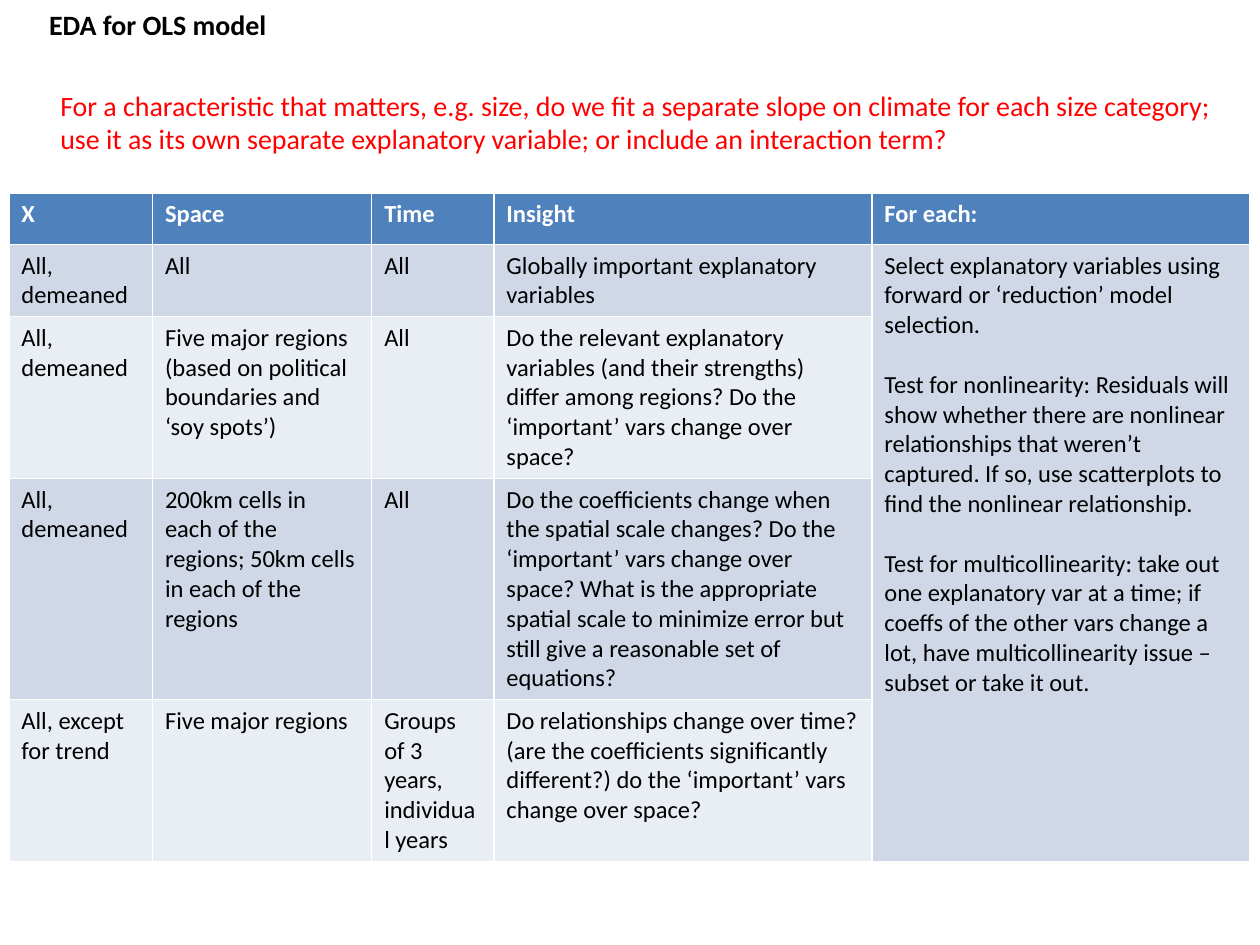
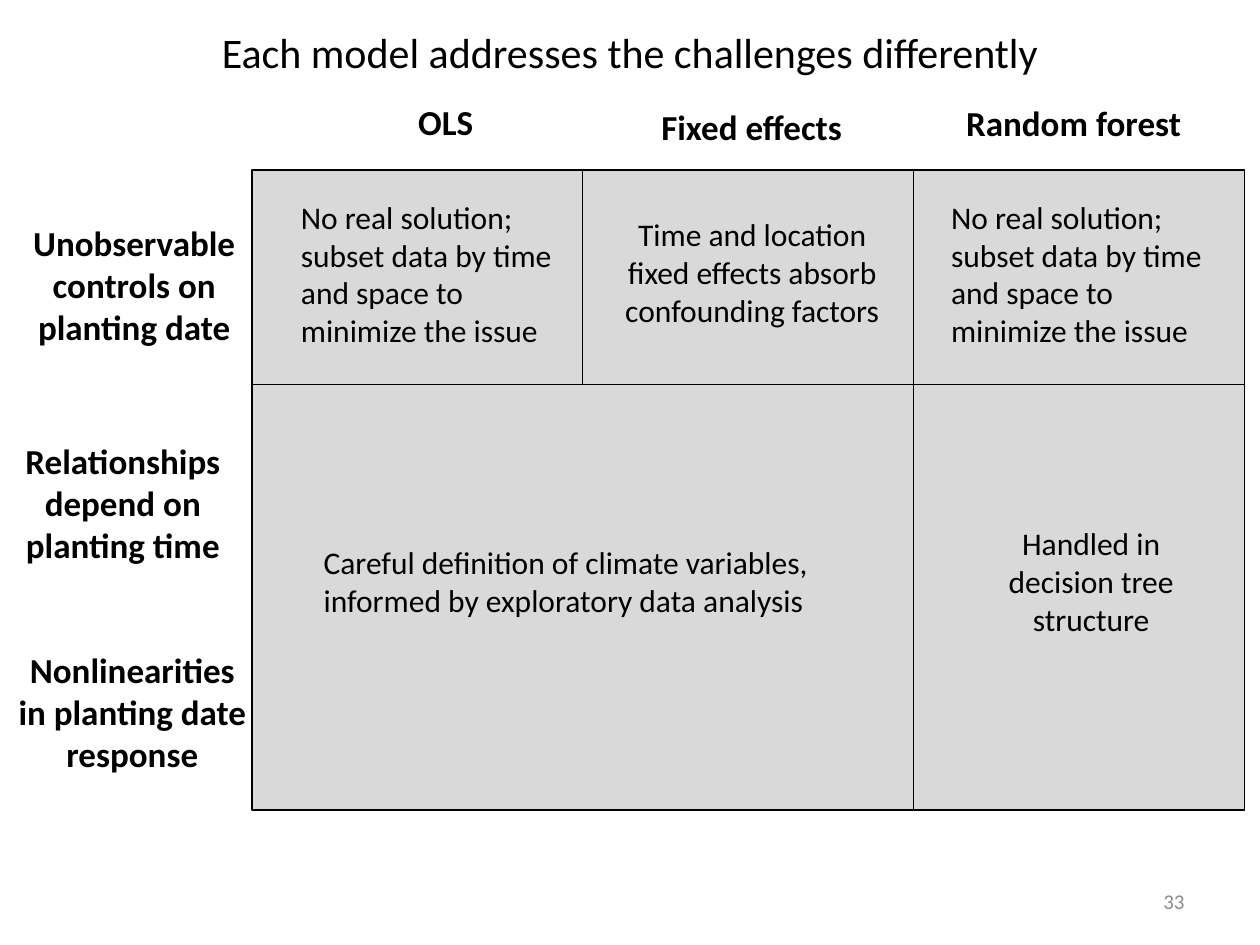
from pptx import Presentation
from pptx.dml.color import RGBColor
from pptx.enum.shapes import MSO_SHAPE
from pptx.enum.text import MSO_ANCHOR, PP_ALIGN
from pptx.util import Inches, Pt

RECTANGLE = MSO_SHAPE.RECTANGLE
LEFT, CENTER, RIGHT = PP_ALIGN.LEFT, PP_ALIGN.CENTER, PP_ALIGN.RIGHT
TOP, MIDDLE = MSO_ANCHOR.TOP, MSO_ANCHOR.MIDDLE

FONT = "Calibri"
BLACK = RGBColor(0x00, 0x00, 0x00)
WHITE = RGBColor(0xFF, 0xFF, 0xFF)
RED = RGBColor(0xFF, 0x00, 0x00)
HEADER_BLUE = RGBColor(0x4F, 0x81, 0xBD)
BAND_DARK = RGBColor(0xD0, 0xD8, 0xE8)
BAND_LIGHT = RGBColor(0xE9, 0xED, 0xF4)
CELL_GREY = RGBColor(0xD9, 0xD9, 0xD9)
NUMBER_GREY = RGBColor(0x8C, 0x8C, 0x8C)

# Exploratory analysis plan: one row per subset of the data
PLAN_HEADER = ["X", "Space", "Time", "Insight", "For each:"]
PLAN_ROWS = [
    ["All, demeaned", "All", "All", "Globally important explanatory variables"],
    ["All, demeaned",
     "Five major regions\n(based on political boundaries and ‘soy spots’)",
     "All",
     "Do the relevant explanatory variables (and their strengths) differ among "
     "regions? Do the ‘important’ vars change over space?"],
    ["All, demeaned",
     "200km cells in each of the regions; 50km cells in each of the regions",
     "All",
     "Do the coefficients change when the spatial scale changes? Do the "
     "‘important’ vars change over space? What is the appropriate spatial scale "
     "to minimize error but still give a reasonable set of equations?"],
    ["All, except for trend", "Five major regions",
     "Groups of 3 years, individual years",
     "Do relationships change over time? (are the coefficients significantly "
     "different?) do the ‘important’ vars change over space?"],
]
STEPS_FOR_EACH = "\n".join([
    "Select explanatory variables using forward or ‘reduction’ model selection.",
    "Test for nonlinearity: Residuals will show whether there are nonlinear "
    "relationships that weren’t captured. If so, use scatterplots to find the "
    "nonlinear relationship.",
    "Test for multicollinearity: take out one explanatory var at a time; if coeffs "
    "of the other vars change a lot, have multicollinearity issue – subset or take "
    "it out.",
])
PLAN_WIDTHS = [1.14, 1.74, 0.97, 3, 3]
PLAN_HEIGHTS = [0.41, 0.57, 1.27, 1.73, 1.26]

NO_SOLUTION = "No real solution; subset data by time and space to minimize the issue"


def inches(box):
    return [Inches(value) for value in box]


def write(frame, text, size, color=BLACK, bold=False, align=LEFT):
    frame.text = text
    for paragraph in frame.paragraphs:
        paragraph.alignment = align
        for run in paragraph.runs:
            run.font.name = FONT
            run.font.size = Pt(size)
            run.font.bold = bold
            run.font.color.rgb = color


def add_label(slide, box, text, size, wrap=True, anchor=TOP, **style):
    frame = slide.shapes.add_textbox(*inches(box)).text_frame
    frame.word_wrap = wrap
    frame.vertical_anchor = anchor
    write(frame, text, size, **style)


def add_titled_slide(prs, box, text, size, **style):
    slide = prs.slides.add_slide(prs.slide_layouts[5])
    title = slide.shapes.title
    title.left, title.top, title.width, title.height = inches(box)
    title.text_frame.vertical_anchor = TOP
    write(title.text_frame, text, size, **style)
    return slide


def fill_cell(cell, text, fill, **style):
    cell.fill.solid()
    cell.fill.fore_color.rgb = fill
    write(cell.text_frame, text, 14, **style)


def add_plan_table(slide, left, top):
    box = (left, top, sum(PLAN_WIDTHS), sum(PLAN_HEIGHTS))
    table = slide.shapes.add_table(
        len(PLAN_HEIGHTS), len(PLAN_WIDTHS), *inches(box)).table
    for column, width in zip(table.columns, PLAN_WIDTHS):
        column.width = Inches(width)
    for row, height in zip(table.rows, PLAN_HEIGHTS):
        row.height = Inches(height)

    for c, heading in enumerate(PLAN_HEADER):
        fill_cell(table.cell(0, c), heading, HEADER_BLUE, color=WHITE, bold=True)
    for r, texts in enumerate(PLAN_ROWS, start=1):
        for c, text in enumerate(texts):
            fill_cell(table.cell(r, c), text, BAND_DARK if r % 2 else BAND_LIGHT)

    # Steps repeated for every row share one tall cell
    last = len(PLAN_HEADER) - 1
    steps = table.cell(1, last)
    steps.merge(table.cell(len(PLAN_ROWS), last))
    fill_cell(steps, STEPS_FOR_EACH, BAND_DARK)
    for paragraph in steps.text_frame.paragraphs[1:]:
        paragraph.space_before = Pt(17)


def add_answer(slide, box, text, text_box, align):
    """Grey cell with its answer; text_box is relative to the cell's corner."""
    cell = slide.shapes.add_shape(RECTANGLE, *inches(box))
    cell.shadow.inherit = False
    cell.fill.solid()
    cell.fill.fore_color.rgb = CELL_GREY
    cell.line.color.rgb = BLACK
    cell.line.width = Pt(0.75)
    dx, dy, width, height = text_box
    add_label(slide, (box[0] + dx, box[1] + dy, width, height), text, 18, align=align)


def add_challenge_grid(slide, left, top):
    column, short, tall = 2.625, 1.7, 3.38
    # First column, columns spanned, row top, row height, answer, its box, alignment
    answers = [
        (2, 1, short, tall, "Handled in decision tree structure",
         (0.44, 1.06, 1.94, 1.01), CENTER),
        (0, 2, short, tall, "Careful definition of climate variables, informed by "
         "exploratory data analysis", (0.47, 1.21, 4.49, 0.71), LEFT),
        (2, 1, 0, short, NO_SOLUTION, (0.2, 0.17, 2.27, 1.31), LEFT),
        (1, 1, 0, short, "Time and location fixed effects absorb confounding factors",
         (0.22, 0.31, 2.25, 1.01), CENTER),
        (0, 1, 0, short, NO_SOLUTION, (0.29, 0.17, 2.34, 1.31), LEFT),
    ]
    for first, span, down, height, text, text_box, align in answers:
        cell = (left + first * column, top + down, span * column, height)
        add_answer(slide, cell, text, text_box, align)

    # Models above the grid
    for dx, dy, width, model in [(1.22, -0.6, 0.64, "OLS"),
                                 (3.15, -0.56, 1.66, "Fixed effects"),
                                 (5.57, -0.59, 1.93, "Random forest")]:
        add_label(slide, (left + dx, top + dy, width, 0.44), model, 20,
                  wrap=False, bold=True)

    # Challenges left of the grid
    for dx, dy, width, challenge in [
            (-1.91, 0.36, 1.95, "Unobservable controls on planting date"),
            (-1.93, 2.09, 1.81, "Relationships depend on planting time"),
            (-1.96, 3.75, 2.02, "Nonlinearities in planting date response")]:
        add_label(slide, (left + dx, top + dy, width, 1.11), challenge, 20,
                  bold=True, align=CENTER)


def build_plan_slide(prs):
    slide = add_titled_slide(prs, (0.29, 0.01, 9.62, 0.37), "EDA for OLS model", 16,
                             bold=True)
    add_plan_table(slide, 0.07, 1.53)
    add_label(slide, (0.38, 0.65, 9.62, 0.64),
              "For a characteristic that matters, e.g. size, do we fit a separate "
              "slope on climate for each size category; use it as its own separate "
              "explanatory variable; or include an interaction term?", 16, color=RED)


def build_comparison_slide(prs):
    slide = add_titled_slide(prs, (1.5, 0.16, 7, 0.5),
                             "Each model addresses the challenges differently", 24,
                             align=CENTER)
    add_challenge_grid(slide, 2, 1.35)
    add_label(slide, (7.17, 6.95, 2.33, 0.4), "33", 12, anchor=MIDDLE,
              color=NUMBER_GREY, align=RIGHT)


def main():
    prs = Presentation()
    prs.slide_width, prs.slide_height = Inches(10), Inches(7.5)
    build_plan_slide(prs)
    build_comparison_slide(prs)
    prs.save("out.pptx")


if __name__ == "__main__":
    main()
